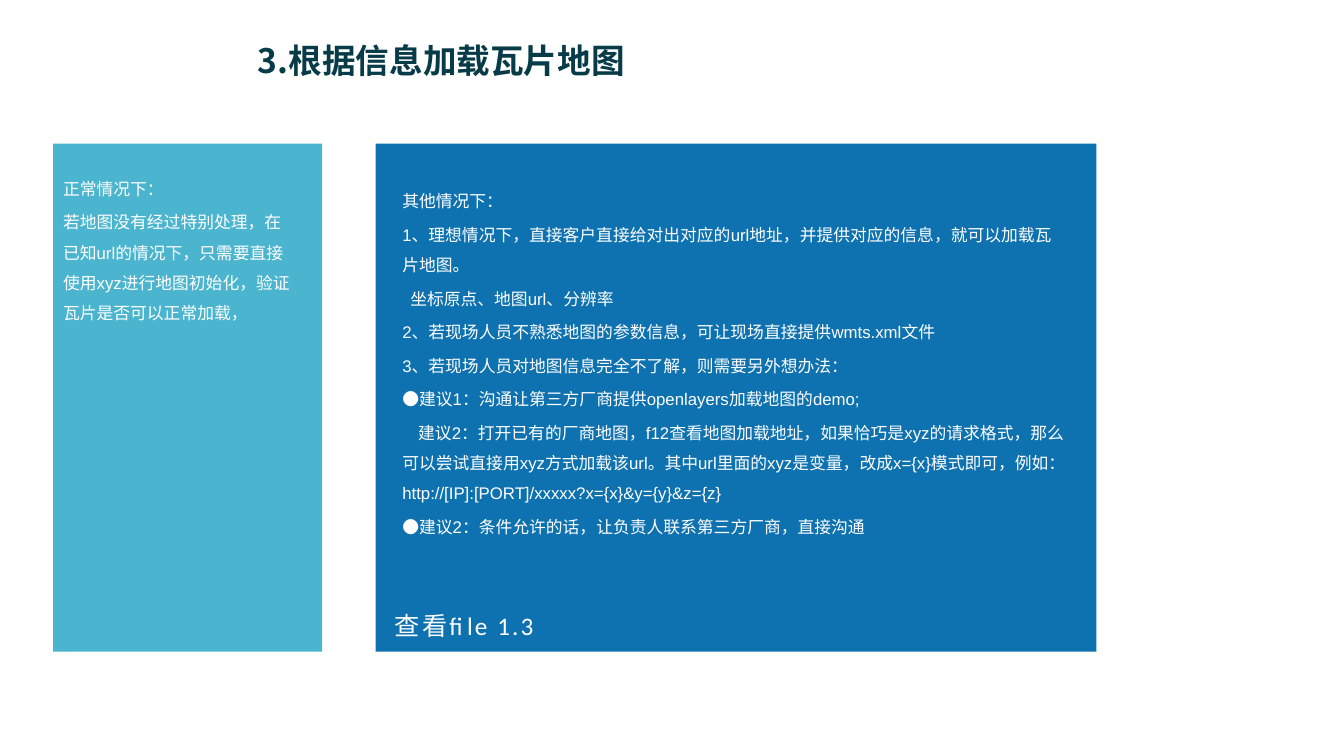
import pptx
import pptx.dml.color
import pptx.enum.shapes
import pptx.enum.text
import pptx.oxml.ns
import pptx.util
from lxml import etree

Cm = pptx.util.Cm
Pt = pptx.util.Pt
RGBColor = pptx.dml.color.RGBColor

DARK_TEAL = RGBColor(0x07, 0x3B, 0x48)
LIGHT_BLUE = RGBColor(0x4B, 0xB5, 0xCF)
DEEP_BLUE = RGBColor(0x0F, 0x72, 0xB0)
WHITE = RGBColor(0xFF, 0xFF, 0xFF)
CHINESE_FONT = "Noto Sans CJK SC"

PANEL_TOP, PANEL_HEIGHT = 3.62, 12.8
NORMAL_CASE = [
    ("正常情况下：", 0),
    ("若地图没有经过特别处理，在已知url的情况下，只需要直接使用xyz进行地图初始化，"
     "验证瓦片是否可以正常加载，", 0),
]
# Each paragraph with its first-line indent in cm
OTHER_CASES = [
    ("其他情况下：", 0),
    ("1、理想情况下，直接客户直接给对出对应的url地址，并提供对应的信息，就可以加载瓦片地图。", 0),
    ("坐标原点、地图url、分辨率", 0.2),
    ("2、若现场人员不熟悉地图的参数信息，可让现场直接提供wmts.xml文件", 0),
    ("3、若现场人员对地图信息完全不了解，则需要另外想办法：", 0),
    ("●建议1：沟通让第三方厂商提供openlayers加载地图的demo;", 0),
    ("建议2：打开已有的厂商地图，f12查看地图加载地址，如果恰巧是xyz的请求格式，"
     "那么可以尝试直接用xyz方式加载该url。其中url里面的xyz是变量，改成x={x}模式即可，"
     "例如：http://[IP]:[PORT]/xxxxx?x={x}&y={y}&z={z}", 0.4),
    ("●建议2：条件允许的话，让负责人联系第三方厂商，直接沟通", 0),
]


def write_text(paragraph, text, *, font="Arial", size=12, color=WHITE, bold=False,
               tracking=0, indent=0):
    run = paragraph.add_run()
    run.text = text
    run.font.size = Pt(size)
    run.font.bold = bold
    run.font.color.rgb = color
    run.font.name = font
    properties = run.font._element
    properties.set("lang", "zh-CN")
    east_asian = etree.SubElement(properties, pptx.oxml.ns.qn("a:ea"))
    east_asian.set("typeface", CHINESE_FONT)
    if tracking:
        properties.set("spc", str(round(tracking * 100)))
    if indent:
        paragraph._p.get_or_add_pPr().set("indent", str(Cm(indent)))


class TileMapSlide:
    def __init__(self, presentation):
        self.slide = presentation.slides.add_slide(presentation.slide_layouts[6])

    def panel(self, left, width, color):
        panel = self.slide.shapes.add_shape(
            pptx.enum.shapes.MSO_SHAPE.RECTANGLE,
            Cm(left), Cm(PANEL_TOP), Cm(width), Cm(PANEL_HEIGHT))
        panel.shadow.inherit = False
        panel.fill.solid()
        panel.fill.fore_color.rgb = color
        panel.line.fill.background()

    def text_frame(self, left, top, width, height):
        frame = self.slide.shapes.add_textbox(
            Cm(left), Cm(top), Cm(width), Cm(height)).text_frame
        frame.word_wrap = True
        return frame

    def line(self, text, box, anchor=pptx.enum.text.MSO_ANCHOR.TOP, **style):
        frame = self.text_frame(*box)
        frame.vertical_anchor = anchor
        write_text(frame.paragraphs[0], text, **style)

    def body(self, passages, box):
        frame = self.text_frame(*box)
        for number, (text, indent) in enumerate(passages):
            paragraph = frame.add_paragraph() if number else frame.paragraphs[0]
            paragraph.line_spacing = 1.5
            paragraph.space_before = Pt(2.4)
            write_text(paragraph, text, indent=indent)


def main():
    presentation = pptx.Presentation()
    presentation.slide_width = Cm(33.87)
    presentation.slide_height = Cm(19.05)

    page = TileMapSlide(presentation)
    page.line("3.根据信息加载瓦片地图", (6.25, 0.53, 23.67, 1.96),
              anchor=pptx.enum.text.MSO_ANCHOR.MIDDLE,
              font=CHINESE_FONT, size=24, color=DARK_TEAL, bold=True)
    page.panel(1.34, 6.78, LIGHT_BLUE)
    page.body(NORMAL_CASE, (1.34, 4.12, 6.35, 11.18))
    page.panel(9.47, 18.16, DEEP_BLUE)
    page.body(OTHER_CASES, (9.89, 4.43, 17.27, 11.18))
    page.line("查看file 1.3", (9.7, 15.25, 17.48, 1.02),
              font="Calibri", size=18, tracking=1.5)

    presentation.save("out.pptx")


if __name__ == "__main__":
    main()
